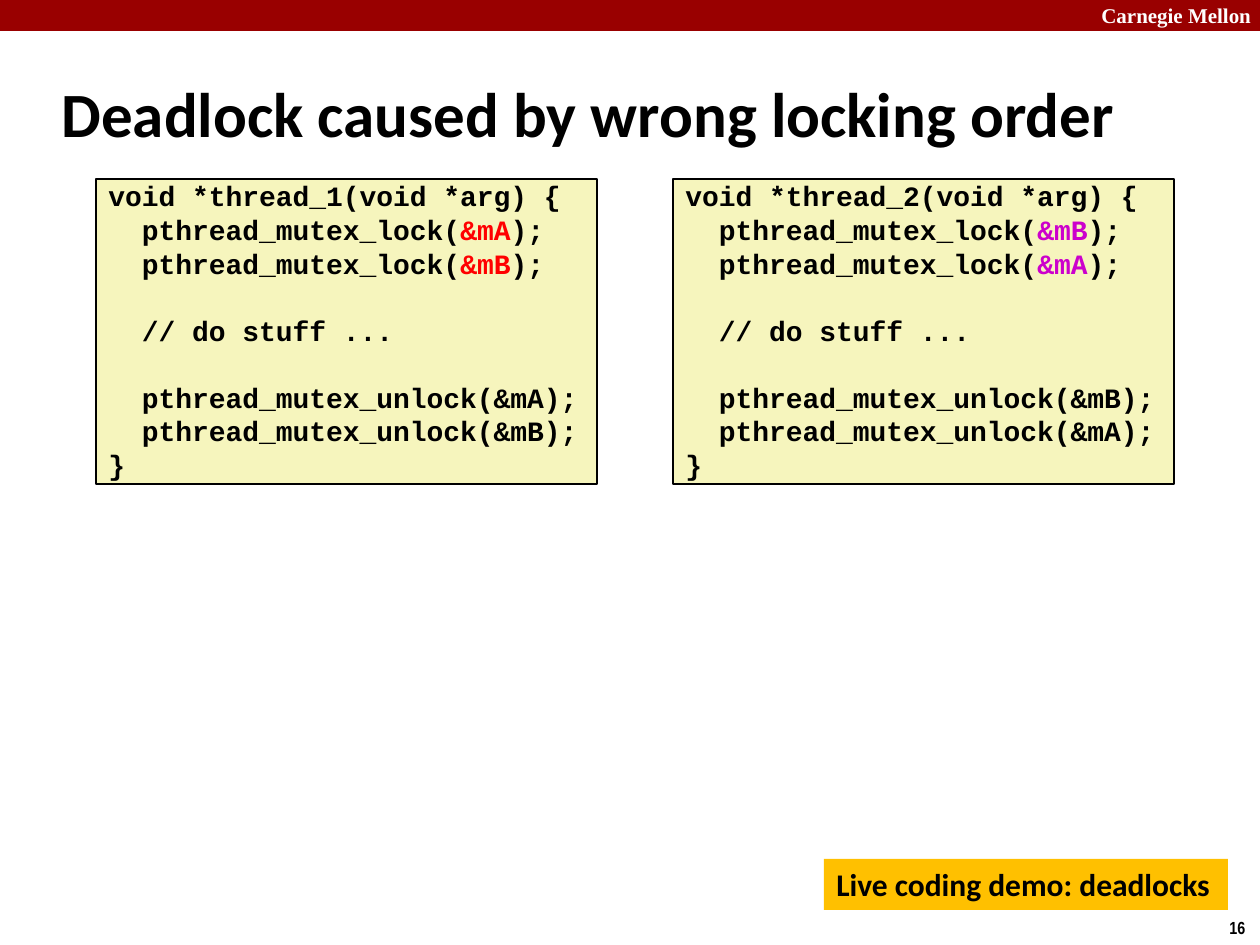
"""Build the slide on deadlock caused by wrong locking order."""
from pptx import Presentation
from pptx.dml.color import RGBColor
from pptx.enum.shapes import MSO_SHAPE
from pptx.enum.text import MSO_ANCHOR, PP_ALIGN
from pptx.util import Emu, Pt

PX = 914400 // 126
THEME = {
    "ink": "000000", "paper": "FFFFFF", "bar": "990000", "code": "F6F5BD",
    "demo": "FFC000", "first": "FF0000", "second": "CC00CC",
    "title_font": {"name": "Calibri", "size": Pt(36), "bold": True},
    "demo_font": {"name": "Calibri", "size": Pt(18), "bold": True},
    "code_font": {"name": "Courier New", "size": Pt(16), "bold": True},
    "brand_font": {"name": "Times New Roman", "size": Pt(12), "bold": True},
    "number_font": {"name": "Arial Narrow", "size": Pt(10), "bold": True},
    "code_line": Pt(19.2),
}


def add_span(para, text, font, color="ink"):
    span = para.add_run()
    span.text = text
    for name, value in THEME[font].items():
        setattr(span.font, name, value)
    span.font.color.rgb = RGBColor.from_string(THEME[color])


def add_box(page, left, top, width, height, fill=None):
    place = [Emu(length * PX) for length in (left, top, width, height)]
    if fill:
        box = page.shapes.add_shape(MSO_SHAPE.RECTANGLE, *place)
        box.shadow.inherit = False
        box.fill.solid()
        box.fill.fore_color.rgb = RGBColor.from_string(THEME[fill])
        box.line.fill.background()
    else:
        box = page.shapes.add_textbox(*place)
    frame = {"word_wrap": True, "vertical_anchor": MSO_ANCHOR.TOP}
    for name, value in frame.items():
        setattr(box.text_frame, name, value)
    box.text_frame.paragraphs[0].alignment = PP_ALIGN.LEFT
    return box


deck = Presentation()
deck.slide_width, deck.slide_height = Emu(1260 * PX), Emu(945 * PX)
page = deck.slides.add_slide(deck.slide_layouts[5])

add_box(page, 0, 0, 1260, 31, "bar")
brand = add_box(page, 1089, -4, 180, 38)
add_span(brand.text_frame.paragraphs[0], "Carnegie Mellon", "brand_font", "paper")
number = add_box(page, 1217, 911, 43, 34)
add_span(number.text_frame.paragraphs[0], "16", "number_font")

title = page.shapes.title
title_place = {"left": 49, "top": 60, "width": 1126, "height": 105}
for name, value in title_place.items():
    setattr(title, name, Emu(value * PX))
title.text_frame.vertical_anchor = MSO_ANCHOR.MIDDLE
title.text_frame.paragraphs[0].alignment = PP_ALIGN.LEFT
add_span(title.text_frame.paragraphs[0], "Deadlock caused by wrong locking order", "title_font")

threads = [(1, ("&mA", "&mB"), "first"), (2, ("&mB", "&mA"), "second")]
for index, (thread, locks, color) in enumerate(threads):
    box = add_box(page, 96 + index * 577, 179, 501, 305, "code")
    box.line.color.rgb = RGBColor.from_string(THEME["ink"])
    box.line.width = Pt(1)
    box.text_frame.margin_top = box.text_frame.margin_bottom = 0
    lines = [[(f"void *thread_{thread}(void *arg) {{", "ink")]]
    lines += [[("  pthread_mutex_lock(", "ink"), (lock, color), (");", "ink")] for lock in locks]
    lines += [[("  // do stuff ...", "ink")]]
    lines += [[(f"  pthread_mutex_unlock({lock});", "ink")] for lock in locks]
    lines += [[("}", "ink")]]
    for row, line in enumerate(lines):
        para = box.text_frame.add_paragraph() if row else box.text_frame.paragraphs[0]
        gap = THEME["code_line"] if row in (3, 4) else Pt(0)
        layout = {"alignment": PP_ALIGN.LEFT, "line_spacing": THEME["code_line"], "space_before": gap}
        for name, value in layout.items():
            setattr(para, name, value)
        for text, span_color in line:
            add_span(para, text, "code_font", span_color)

demo = add_box(page, 824, 859, 404, 51, "demo")
add_span(demo.text_frame.paragraphs[0], "Live coding demo: deadlocks", "demo_font")

deck.save("out.pptx")
